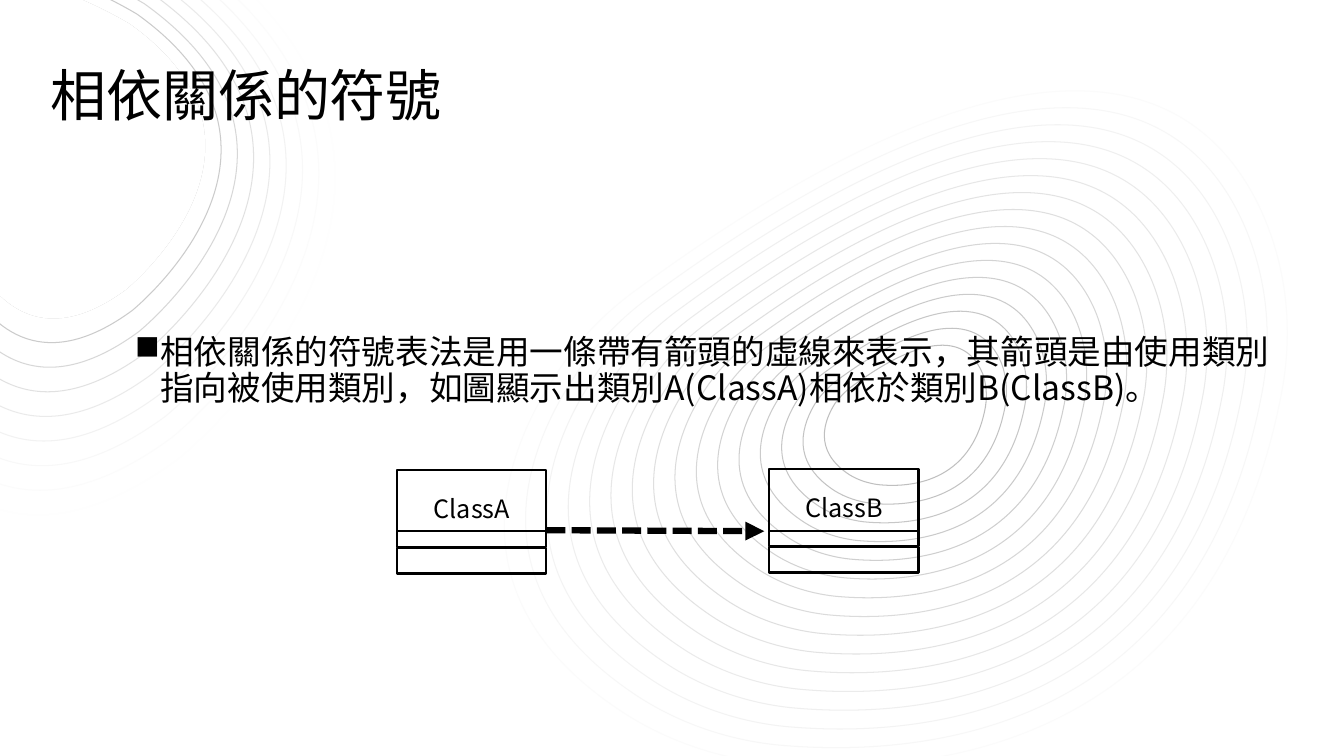
"""Builds the slide on the notation of the dependency relationship."""
from lxml import etree
from pptx import Presentation
from pptx.dml.color import RGBColor
from pptx.enum.dml import MSO_LINE
from pptx.enum.shapes import MSO_CONNECTOR, MSO_SHAPE
from pptx.enum.text import MSO_ANCHOR, PP_ALIGN
from pptx.oxml.ns import qn
from pptx.util import Inches, Pt

TITLE = "相依關係的符號"
BODY = ("相依關係的符號表法是用一條帶有箭頭的虛線來表示，其箭頭是由使用類別"
        "指向被使用類別，如圖顯示出類別A(ClassA)相依於類別B(ClassB)。")
CLASSES = [("ClassA", 3.94, 4.66), ("ClassB", 7.63, 4.65)]
CLASS_WIDTH, NAME_HEIGHT, METHODS_HEIGHT = 1.48, 0.77, 0.25
METHODS_OFFSET, DIVIDER_Y = 0.78, 5.27
ARROW = (5.42, 5.26, 7.58, 5.27)

FONT = "Noto Sans CJK SC"
BLACK = RGBColor(0, 0, 0)
WHITE = RGBColor(255, 255, 255)

CORNER_OUTER = [(1.3, -0.88), (1.3, -0.88), (-3.6, -2.14), (-2.67, 1.45),
                (-2.67, 1.45), (-1.39, 5.66), (2.06, 3.45),
                (2.06, 3.45), (6.86, -0.1), (1.3, -0.88)]
CORNER_INNER = [(1, 0.1), (1, 0.1), (-1.5, -0.55), (-1.03, 1.29),
                (-1.03, 1.29), (-0.37, 3.43), (1.39, 2.31),
                (1.39, 2.31), (3.84, 0.5), (1, 0.1)]
CORNER_RINGS, CORNER_TURN = 9, 248.1
RIPPLE_INNER = [(8.61, 3.5), (8.42, 3.54), (8.12, 3.66), (8.2, 4.09),
                (8.22, 4.19), (8.27, 4.29), (8.33, 4.37),
                (8.51, 4.6), (8.97, 5.03), (9.62, 4.6),
                (9.72, 4.53), (9.79, 4.45), (9.84, 4.35),
                (9.95, 4.1), (9.95, 3.69), (8.83, 3.5),
                (8.76, 3.49), (8.68, 3.49), (8.61, 3.5)]
RIPPLE_OUTER = [(7.11, 1.27), (6.19, 1.43), (4.72, 2.02), (5.13, 4.11),
                (5.23, 4.6), (5.45, 5.07), (5.76, 5.47),
                (6.64, 6.58), (8.85, 8.65), (12, 6.55),
                (12.45, 6.24), (12.81, 5.83), (13.04, 5.33),
                (13.57, 4.17), (13.55, 2.19), (8.19, 1.26),
                (7.83, 1.2), (7.47, 1.2), (7.11, 1.27)]
RIPPLE_RINGS, RIPPLE_TURN = 16, 313.8
CURVE_STEPS = 24


def child(parent, tag, **attributes):
    return etree.SubElement(parent, qn(tag), attributes)


def between(start, end, share):
    return [tuple(a + (b - a) * share for a, b in zip(p, q)) for p, q in zip(start, end)]


def curve_range(values):
    reached = []
    for first in range(0, len(values) - 1, 3):
        a, b, c, d = values[first:first + 4]
        for step in range(CURVE_STEPS + 1):
            t = step / CURVE_STEPS
            s = 1 - t
            reached.append(a * s ** 3 + 3 * b * t * s * s + 3 * c * t * t * s + d * t ** 3)
    return Inches(min(reached)), Inches(max(reached))


def add_ring(shapes, controls, turn, color):
    (left, right), (top, bottom) = map(curve_range, zip(*controls))
    builder = shapes.build_freeform(left, top)
    builder.add_line_segments([(right, top), (right, bottom), (left, bottom)])
    ring = builder.convert_to_shape()

    outline = ring._element.spPr.find(".//" + qn("a:path"))
    for segment in list(outline):
        outline.remove(segment)
    segments = [("a:moveTo", controls[:1])]
    segments += [("a:cubicBezTo", controls[i:i + 3]) for i in range(1, len(controls), 3)]
    for tag, points in segments:
        segment = child(outline, tag)
        for x, y in points:
            child(segment, "a:pt", x=str(Inches(x) - left), y=str(Inches(y) - top))
    child(outline, "a:close")

    ring.rotation = turn
    ring.shadow.inherit = False
    ring.fill.background()
    ring.line.color.rgb = color
    ring.line.width = Pt(0.75)
    return ring


def add_shadow(shape, kind, color, alpha, blur, distance, angle):
    effects = shape._element.spPr.find(qn("a:effectLst"))
    shadow = child(effects, kind, blurRad=str(Pt(blur)), dist=str(Pt(distance)),
                   dir=str(angle * 60000))
    child(child(shadow, "a:srgbClr", val=color), "a:alpha", val=str(alpha * 1000))


def add_corner(shapes):
    for ring_number in range(1, CORNER_RINGS + 1):
        opacity = ring_number / CORNER_RINGS
        gray = round(255 - 64 * opacity)
        controls = between(CORNER_OUTER, CORNER_INNER, (ring_number - 1) / (CORNER_RINGS - 1))
        ring = add_ring(shapes, controls, CORNER_TURN, RGBColor(gray, gray, gray))
        line_color = ring.line._ln.find(".//" + qn("a:srgbClr"))
        child(line_color, "a:alpha", val=str(round(opacity * 100) * 1000))
        add_shadow(ring, "a:outerShdw", "323232", 10, 50, 0, 0)
    center = add_ring(shapes, CORNER_INNER, CORNER_TURN, WHITE)
    center.fill.solid()
    center.fill.fore_color.rgb = WHITE
    add_shadow(center, "a:innerShdw", "000000", 20, 15, 3, 225)


def add_ripple(shapes):
    for ring_number in range(RIPPLE_RINGS):
        gray = 191 + 4 * ring_number
        controls = between(RIPPLE_INNER, RIPPLE_OUTER, ring_number / (RIPPLE_RINGS - 1))
        add_ring(shapes, controls, RIPPLE_TURN, RGBColor(gray, gray, gray))


def style_text(paragraph, size):
    paragraph.font.size = Pt(size)
    paragraph.font.name = FONT
    paragraph.font.color.rgb = BLACK
    child(paragraph.font._element, "a:ea", typeface=FONT)


def add_text(shapes, text, box, wrap):
    frame = shapes.add_textbox(*map(Inches, box)).text_frame
    frame.word_wrap = wrap
    paragraph = frame.paragraphs[0]
    paragraph.text = text
    return paragraph


def add_compartment(shapes, x, y, height):
    compartment = shapes.add_shape(MSO_SHAPE.RECTANGLE, Inches(x), Inches(y),
                                   Inches(CLASS_WIDTH), Inches(height))
    compartment.shadow.inherit = False
    compartment.fill.background()
    compartment.line.color.rgb = BLACK
    compartment.line.width = Pt(1.5)
    return compartment


def add_line(shapes, ends, width):
    line = shapes.add_connector(MSO_CONNECTOR.STRAIGHT, *map(Inches, ends))
    line.line.color.rgb = BLACK
    line.line.width = Pt(width)
    child(line._element.spPr, "a:effectLst")
    return line


def add_class(shapes, name, x, y):
    frame = add_compartment(shapes, x, y, NAME_HEIGHT).text_frame
    frame.vertical_anchor = MSO_ANCHOR.MIDDLE
    label = frame.paragraphs[0]
    label.text = name
    label.alignment = PP_ALIGN.CENTER
    style_text(label, 18)
    add_compartment(shapes, x, y + METHODS_OFFSET, METHODS_HEIGHT)
    add_line(shapes, (x, DIVIDER_Y, x + CLASS_WIDTH, DIVIDER_Y), 1.5)


def main():
    deck = Presentation()
    deck.slide_width, deck.slide_height = Inches(13.33), Inches(7.5)
    slide = deck.slides.add_slide(deck.slide_layouts[6])
    slide.background.fill.solid()
    slide.background.fill.fore_color.rgb = WHITE
    shapes = slide.shapes

    add_corner(shapes)
    title = add_text(shapes, TITLE, (0.4, 0.55, 4.13, 0.77), False)
    style_text(title, 40)
    add_ripple(shapes)

    body = add_text(shapes, BODY, (1.24, 3.28, 11.49, 1.14), True)
    body.line_spacing = 0.9
    properties = body._p.get_or_add_pPr()
    properties.set("marL", str(Inches(0.25)))
    properties.set("indent", str(Inches(-0.25)))
    child(properties, "a:buChar", char="■")
    style_text(body, 24)

    for name, x, y in CLASSES:
        add_class(shapes, name, x, y)
    arrow = add_line(shapes, ARROW, 4.5)
    arrow.line.dash_style = MSO_LINE.SQUARE_DOT
    child(arrow.line._ln, "a:tailEnd", type="triangle")
    deck.save("out.pptx")


if __name__ == "__main__":
    main()
